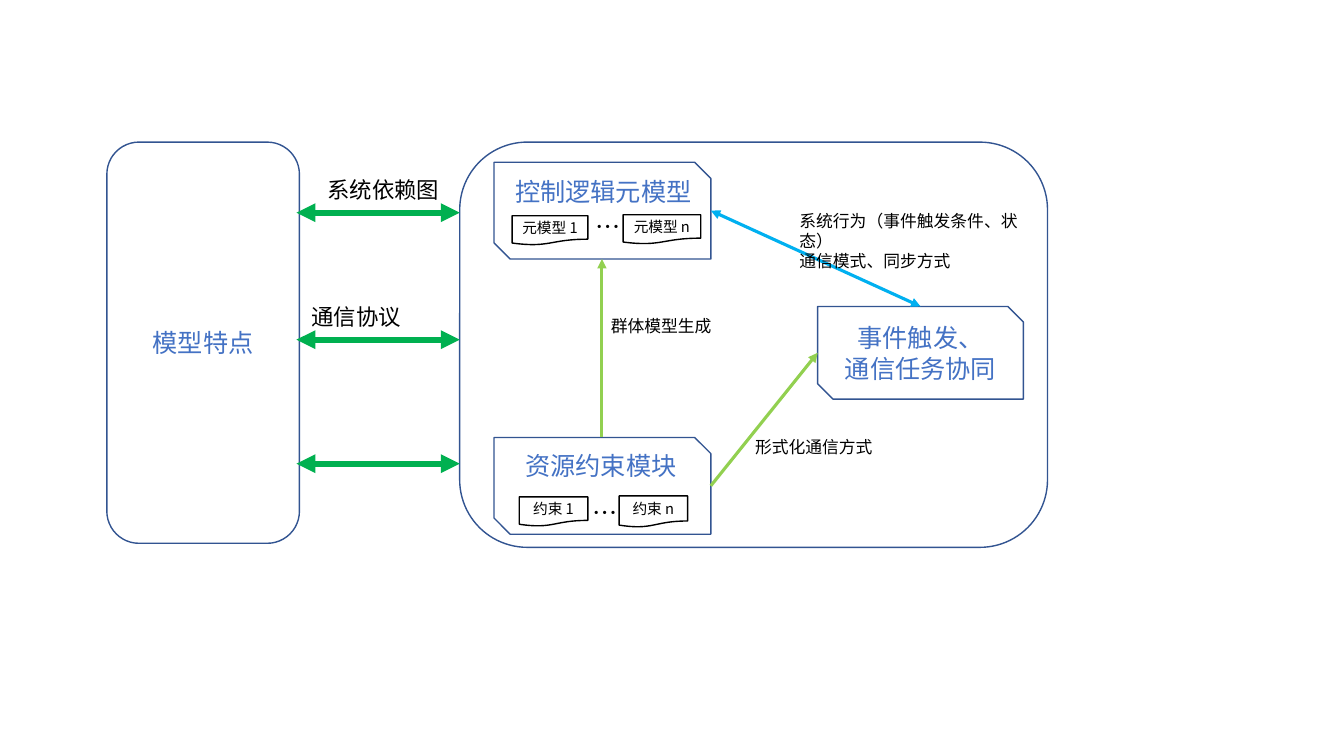
"""Build the slide that links model features to the control, resource and event modules."""
from dataclasses import dataclass
from typing import Optional

from lxml import etree
from pptx import Presentation
from pptx.dml.color import RGBColor
from pptx.enum import shapes as es, text as et
from pptx.oxml.ns import qn
from pptx.util import Inches, Pt

FONT = "Noto Sans CJK SC"
WHITE = RGBColor(0xFF, 0xFF, 0xFF)
BLACK = RGBColor(0, 0, 0)
NAVY = RGBColor(0x32, 0x54, 0x91)
BLUE = RGBColor(0x44, 0x72, 0xC4)
SKY = RGBColor(0x00, 0xB0, 0xF0)
LIME = RGBColor(0x92, 0xD0, 0x50)
GREEN = RGBColor(0x00, 0xB0, 0x50)
ROUND = es.MSO_SHAPE.ROUNDED_RECTANGLE
SNIP = es.MSO_SHAPE.SNIP_2_DIAG_RECTANGLE
PAGE = es.MSO_SHAPE.FLOWCHART_DOCUMENT
RIGHT, BOTTOM, LEFT, TOP = range(4)


@dataclass
class Box:
    kind: es.MSO_SHAPE
    area: tuple
    words: str = ""
    size: float = 18
    ink: RGBColor = BLUE
    edge: RGBColor = NAVY
    fill: Optional[RGBColor] = WHITE


@dataclass
class Note:
    area: tuple
    words: str
    size: float = 12
    ink: RGBColor = BLACK
    wrap: bool = True


@dataclass
class Link:
    start: tuple
    end: tuple
    ink: RGBColor
    width: float = 2.25
    both: bool = True
    joins: tuple = ()


def write(frame, words: str, size: float, ink: RGBColor, align=None) -> None:
    frame.text = words
    for para in frame.paragraphs:
        para.alignment = align
        for run in para.runs:
            run.font.size = Pt(size)
            run.font.name = FONT
            run.font.color.rgb = ink
            etree.SubElement(run.font._element, qn("a:ea"), typeface=FONT)


def draw_box(slide, box: Box):
    shape = slide.shapes.add_shape(box.kind, *map(Inches, box.area))
    shape.shadow.inherit = False
    if box.fill is None:
        shape.fill.background()
    else:
        shape.fill.solid()
        shape.fill.fore_color.rgb = box.fill
    shape.line.color.rgb = box.edge
    shape.line.width = Pt(1)
    if box.words:
        shape.text_frame.vertical_anchor = et.MSO_ANCHOR.MIDDLE
        write(shape.text_frame, box.words, box.size, box.ink, et.PP_ALIGN.CENTER)
    return shape


def draw_note(slide, note: Note) -> None:
    frame = slide.shapes.add_textbox(*map(Inches, note.area)).text_frame
    frame.word_wrap = note.wrap
    frame.auto_size = et.MSO_AUTO_SIZE.SHAPE_TO_FIT_TEXT
    align = None if note.wrap else et.PP_ALIGN.CENTER
    write(frame, note.words, note.size, note.ink, align)


def draw_link(slide, link: Link, parts: dict) -> None:
    ends = [Inches(n) for n in link.start + link.end]
    line = slide.shapes.add_connector(es.MSO_CONNECTOR.STRAIGHT, *ends)
    if link.joins:
        (head, out), (tail, into) = link.joins
        line.begin_connect(parts[head], out)
        line.end_connect(parts[tail], into)
        line.begin_x, line.begin_y, line.end_x, line.end_y = ends
    line.line.color.rgb = link.ink
    line.line.width = Pt(link.width)
    stroke = line.line._get_or_add_ln()
    for tag in ("a:headEnd", "a:tailEnd") if link.both else ("a:tailEnd",):
        etree.SubElement(stroke, qn(tag), type="triangle")
    etree.SubElement(line._element.spPr, qn("a:effectLst"))


BOXES = {
    "model": Box(ROUND, (1.06, 1.41, 1.91, 3.98), "模型特点"),
    "logic": Box(SNIP, (4.9, 1.61, 2.15, 0.96)),
    "source": Box(SNIP, (4.9, 4.34, 2.15, 0.96)),
    "event": Box(SNIP, (8.11, 3.04, 2.04, 0.92), "事件触发、\n通信任务协同"),
    "frame": Box(ROUND, (4.56, 1.41, 5.83, 4.02), fill=None),
}
PAGES = [
    Box(PAGE, area, words, 10.5, BLACK, BLACK)
    for area, words in (
        ((5.08, 2.14, 0.75, 0.29), "元模型 1"),
        ((6.18, 2.13, 0.77, 0.29), "元模型 n"),
        ((5.15, 4.93, 0.68, 0.29), "约束 1"),
        ((6.14, 4.92, 0.68, 0.31), "约束 n"),
    )
]
LINKS = [
    Link((5.97, 4.34), (5.97, 2.57), LIME, both=False,
         joins=(("source", TOP), ("logic", BOTTOM))),
    Link((7.05, 4.82), (8.11, 3.5), LIME, both=False,
         joins=(("source", RIGHT), ("event", LEFT))),
    Link((7.05, 2.09), (9.13, 3.04), SKY,
         joins=(("logic", RIGHT), ("event", TOP))),
    *(Link((2.94, y), (4.56, y), GREEN, 4.5) for y in (2.11, 3.37, 4.6)),
]
NOTES = [
    Note((5.96, 3.08, 1.62, 0.3), "群体模型生成"),
    Note((7.83, 2.04, 2.65, 0.5), "系统行为（事件触发条件、状态）\n通信模式、同步方式"),
    Note((7.39, 4.28, 2.04, 0.3), "形式化通信方式"),
    Note((3.15, 1.7, 1.38, 0.37), "系统依赖图", 16),
    Note((2.99, 2.96, 1.54, 0.37), "通信协议", 16),
    Note((5.81, 2.05, 0.42, 0.4), "…", 18),
    Note((5.78, 4.88, 0.42, 0.4), "…", 18),
    Note((5.01, 1.7, 2.15, 0.4), "控制逻辑元模型", 18, BLUE),
    Note((5.1, 4.42, 1.72, 0.4), "资源约束模块", 18, BLUE, wrap=False),
]


def main() -> None:
    deck = Presentation()
    deck.slide_width, deck.slide_height = Inches(13.33), Inches(7.5)
    slide = deck.slides.add_slide(deck.slide_layouts[6])
    parts = {name: draw_box(slide, box) for name, box in BOXES.items()}
    for link in LINKS:
        draw_link(slide, link, parts)
    for page in PAGES:
        draw_box(slide, page)
    for note in NOTES:
        draw_note(slide, note)
    deck.save("out.pptx")


if __name__ == "__main__":
    main()
